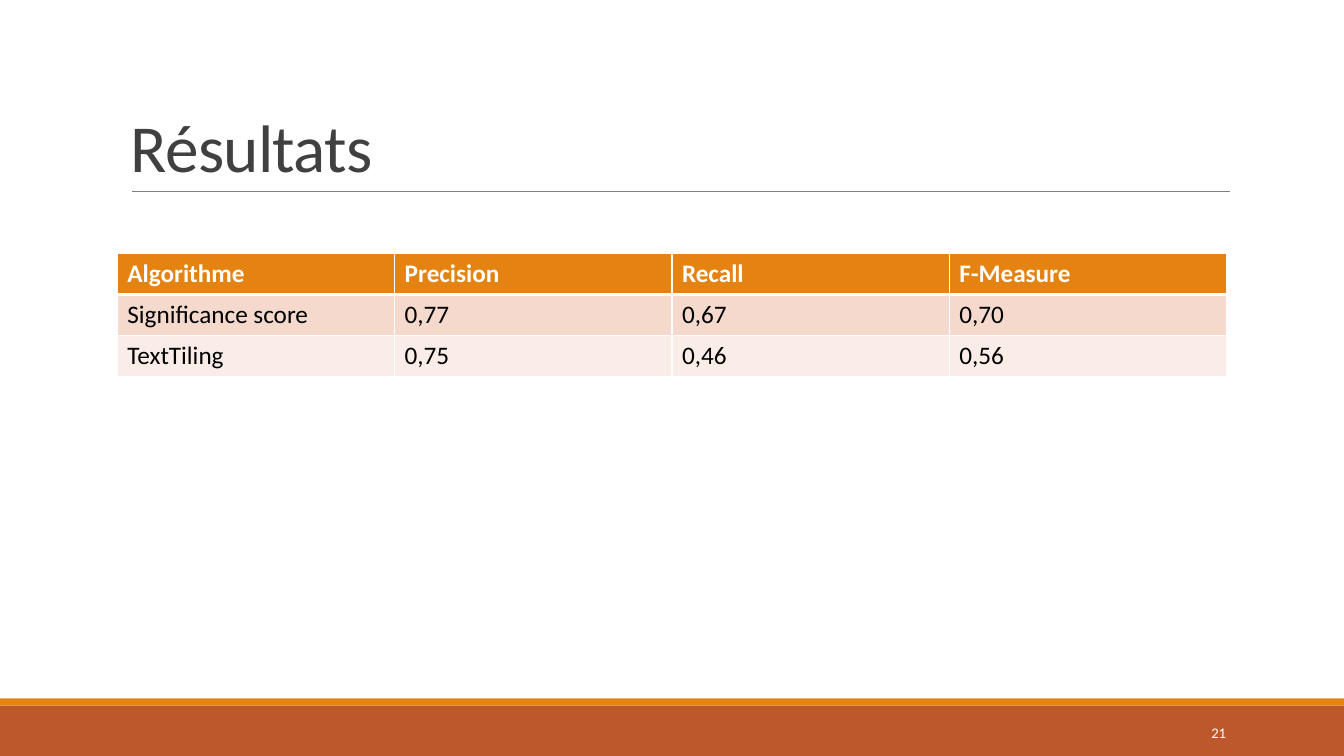
from lxml.etree import SubElement
from pptx import Presentation
from pptx.dml.color import RGBColor
from pptx.enum.shapes import MSO_CONNECTOR, MSO_SHAPE
from pptx.enum.text import MSO_ANCHOR as ANCHOR, PP_ALIGN as ALIGN
from pptx.oxml.ns import qn
from pptx.util import Pt

FONT = "Calibri"
ORANGE, RUST, WHITE = "E48312", "BD582C", "FFFFFF"
ROW_FILLS = [ORANGE, "F5D9CC", "FAEDE7"]
RESULTS = [
    ["Algorithme", "Precision", "Recall", "F-Measure"],
    ["Significance score", "0,77", "0,67", "0,70"],
    ["TextTiling", "0,75", "0,46", "0,56"],
]


def rgb(color):
    return RGBColor.from_string(color)


def write(tf, text, size=18, color="000000", bold=False, align=ALIGN.LEFT,
          line_spacing=None, tracking=None):
    p = tf.paragraphs[0]
    p.alignment = align
    if line_spacing:
        p.line_spacing = line_spacing
    r = p.add_run()
    r.text = text
    r.font.name, r.font.size, r.font.bold = FONT, Pt(size), bold
    r.font.color.rgb = rgb(color)
    if tracking:
        r.font._element.set("spc", str(int(tracking * 100)))


def add_text(s, text, x, y, w, h, anchor, **fmt):
    tf = s.shapes.add_textbox(Pt(x), Pt(y), Pt(w), Pt(h)).text_frame
    tf.word_wrap = True
    tf.vertical_anchor = anchor
    write(tf, text, **fmt)


def add_band(s, y, h, color):
    sp = s.shapes.add_shape(MSO_SHAPE.RECTANGLE, 0, Pt(y), Pt(960), Pt(h))
    sp.shadow.inherit = False
    sp.fill.solid()
    sp.fill.fore_color.rgb = rgb(color)
    sp.line.fill.background()


def add_rule(s, x1, x2, y, color, width):
    line = s.shapes.add_connector(MSO_CONNECTOR.STRAIGHT,
                                  Pt(x1), Pt(y), Pt(x2), Pt(y))
    line.line.color.rgb = rgb(color)
    line.line.width = Pt(width)
    SubElement(line._element.spPr, qn("a:effectLst"))


def set_border(cell, side, width):
    ln = SubElement(cell._tc.get_or_add_tcPr(), qn(f"a:ln{side}"),
                    w=str(Pt(width)))
    SubElement(SubElement(ln, qn("a:solidFill")), qn("a:srgbClr"), val=WHITE)


def add_results(s, x, y, col_w, row_h):
    rows, cols = len(RESULTS), len(RESULTS[0])
    table = s.shapes.add_table(rows, cols, Pt(x), Pt(y), Pt(col_w * cols),
                               Pt(row_h * rows)).table
    for col in table.columns:
        col.width = Pt(col_w)
    for i, values in enumerate(RESULTS):
        table.rows[i].height = Pt(row_h)
        header = i == 0
        for j, value in enumerate(values):
            cell = table.cell(i, j)
            # Thick white edge between header and body
            widths = {"L": 1, "R": 1, "T": 3 if i == 1 else 1,
                      "B": 3 if header else 1}
            for side, width in widths.items():
                set_border(cell, side, width)
            cell.fill.solid()
            cell.fill.fore_color.rgb = rgb(ROW_FILLS[i])
            write(cell.text_frame, value, bold=header,
                  color=WHITE if header else "000000")


def main():
    prs = Presentation()
    prs.slide_width, prs.slide_height = Pt(960), Pt(540)
    s = prs.slides.add_slide(prs.slide_layouts[6])

    # Footer bands
    add_band(s, 504, 36, RUST)
    add_band(s, 498.8, 5.2, ORANGE)

    # Title and its rule
    add_rule(s, 94.3, 878.8, 136.8, "808080", 0.5)
    add_text(s, "Résultats", 86.4, 22.6, 792, 114.2, ANCHOR.BOTTOM,
             size=48, color="404040", line_spacing=0.85, tracking=-0.5)

    # Slide number
    add_text(s, "21", 779.6, 508.6, 103.3, 28.8, ANCHOR.MIDDLE,
             size=10.5, color=WHITE, align=ALIGN.RIGHT)

    # Results table
    add_results(s, 83.8, 181.2, 198.1, 29.2)

    prs.save("out.pptx")


if __name__ == "__main__":
    main()
